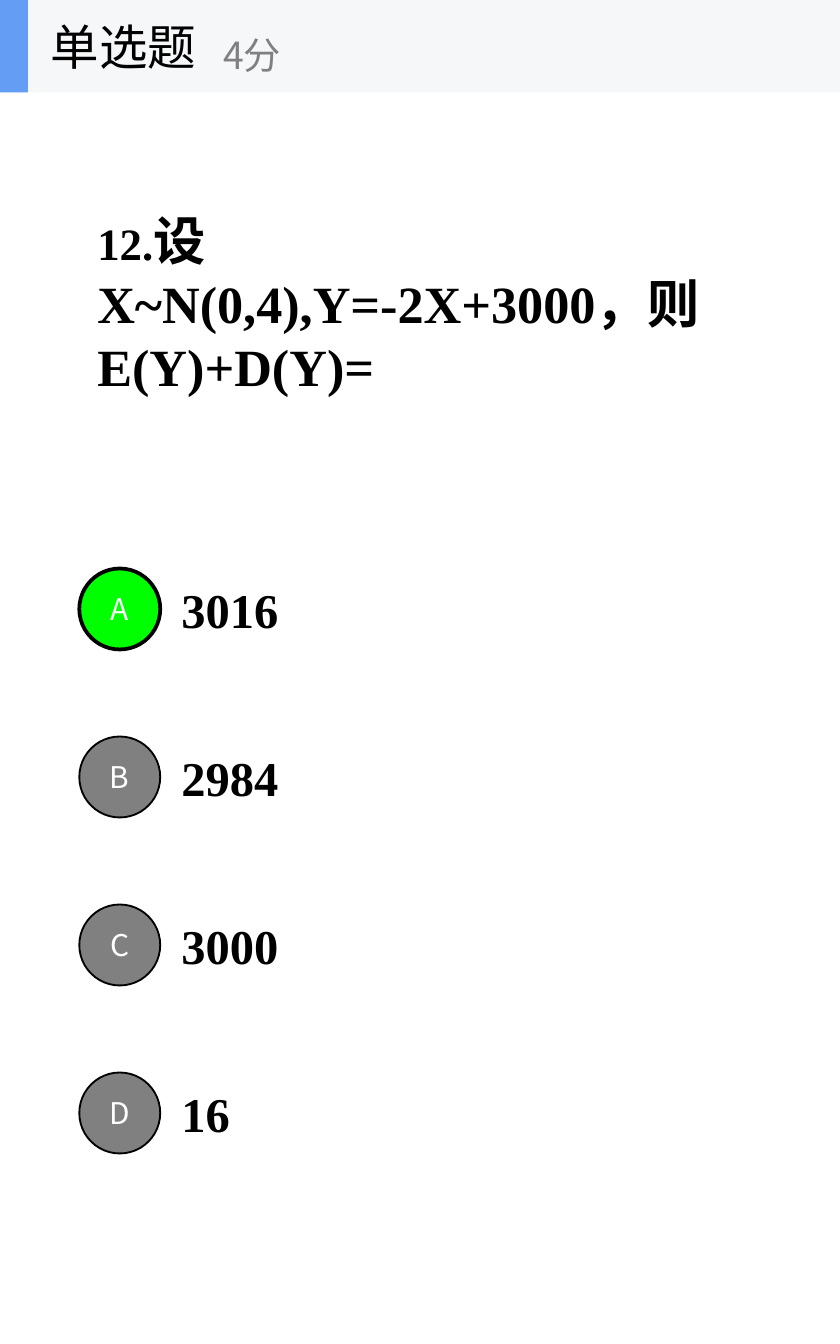
from dataclasses import dataclass

from lxml.etree import SubElement
from pptx import Presentation
from pptx.dml.color import RGBColor
from pptx.enum.shapes import MSO_SHAPE
from pptx.enum.text import MSO_ANCHOR, PP_ALIGN
from pptx.oxml.ns import qn
from pptx.util import Cm, Pt


@dataclass(frozen=True)
class Theme:
    """Colours, fonts and type sizes of the quiz slide."""
    black: str = "000000"
    white: str = "FFFFFF"
    grey: str = "808080"
    correct: str = "00FF00"
    header: str = "F6F7F8"
    accent: str = "639EF4"
    sans: str = "Noto Sans CJK SC"
    serif: str = "Times New Roman"
    number: int = 24
    question: int = 28
    title: int = 26
    option: int = 26
    points: int = 20
    badge: int = 16


@dataclass(frozen=True)
class Box:
    """A rectangle in centimetres."""
    left: float
    top: float
    width: float
    height: float

    def inner(self, left, top, width, height):
        """Return a box placed relative to this one."""
        return Box(self.left + left, self.top + top, width, height)

    def lengths(self):
        """Return left, top, width and height as lengths."""
        return [Cm(value) for value in (self.left, self.top, self.width, self.height)]


THEME = Theme()


def add_run(paragraph, text, size, font, color, bold=False):
    """Append a formatted run with Latin and East Asian fonts."""
    run = paragraph.add_run()
    run.text = text
    run.font.size = Pt(size)
    run.font.name = font
    run.font.bold = bold
    run.font.color.rgb = RGBColor.from_string(color)
    SubElement(run.font._element, qn("a:ea")).set("typeface", THEME.sans)


def add_text(shapes, box, wrap=True):
    """Add a vertically centred text box and return its paragraph."""
    frame = shapes.add_textbox(*box.lengths()).text_frame
    frame.word_wrap = wrap
    frame.vertical_anchor = MSO_ANCHOR.MIDDLE
    return frame.paragraphs[0]


def add_filled(shapes, kind, box, color):
    """Add a flat shape without an outline."""
    shape = shapes.add_shape(kind, *box.lengths())
    shape.shadow.inherit = False
    shape.fill.solid()
    shape.fill.fore_color.rgb = RGBColor.from_string(color)
    shape.line.fill.background()
    return shape


def add_header(slide, box, title, points):
    """Place the header band with question type and points."""
    shapes = slide.shapes.add_group_shape().shapes
    add_filled(shapes, MSO_SHAPE.RECTANGLE, box, THEME.header)
    add_filled(shapes, MSO_SHAPE.RECTANGLE, box.inner(0, 0, 0.53, box.height), THEME.accent)
    paragraph = add_text(shapes, box.inner(0.71, 0, 5.28, box.height), wrap=False)
    add_run(paragraph, title, THEME.title, THEME.sans, THEME.black)
    paragraph = add_text(shapes, box.inner(3.97, 0.32, 6.35, 1.43), wrap=False)
    add_run(paragraph, points, THEME.points, THEME.sans, THEME.grey)


def add_question(slide, box, number, wording):
    """Place the numbered question."""
    paragraph = add_text(slide.shapes, box)
    for text, size in ((number, THEME.number), (wording, THEME.question)):
        add_run(paragraph, text, size, THEME.serif, THEME.black, bold=True)


def add_badge(slide, box, letter, correct):
    """Place the round option letter."""
    badge = add_filled(slide.shapes, MSO_SHAPE.OVAL, box,
                       THEME.correct if correct else THEME.grey)
    badge.line.color.rgb = RGBColor.from_string(THEME.black)
    badge.line.width = Pt(2 if correct else 1)
    frame = badge.text_frame
    frame.margin_left = frame.margin_right = frame.margin_top = frame.margin_bottom = 0
    frame.vertical_anchor = MSO_ANCHOR.MIDDLE
    paragraph = frame.paragraphs[0]
    paragraph.alignment = PP_ALIGN.CENTER
    add_run(paragraph, letter, THEME.badge, THEME.sans, THEME.white)


def add_options(slide, box, answers, correct):
    """Stack the answer options evenly within the box."""
    pitch = box.height / len(answers)
    row_height, badge_size, text_left = 2.38, 1.53, 1.68
    for index, (letter, answer) in enumerate(answers.items()):
        top = index * pitch
        row = box.inner(text_left, top, box.width - text_left, row_height)
        paragraph = add_text(slide.shapes, row)
        add_run(paragraph, answer, THEME.option, THEME.serif, THEME.black, bold=True)
        badge_top = top + (row_height - badge_size) / 2
        add_badge(slide, box.inner(0, badge_top, badge_size, badge_size),
                  letter, letter == correct)


def main():
    """Build and save the quiz slide."""
    presentation = Presentation()
    presentation.slide_width, presentation.slide_height = Cm(15.88), Cm(25.4)
    slide = presentation.slides.add_slide(presentation.slide_layouts[6])
    add_question(slide, Box(1.59, 1.75, 12.7, 7.94), "12.",
                 "设X~N(0,4),Y=-2X+3000，则 E(Y)+D(Y)=")
    add_options(slide, Box(1.5, 10.32, 12.8, 12.7),
                {"A": "3016", "B": "2984", "C": "3000", "D": "16"}, "A")
    add_header(slide, Box(0, 0, 15.88, 1.75), "单选题", "4分")
    presentation.save("out.pptx")


if __name__ == "__main__":
    main()
